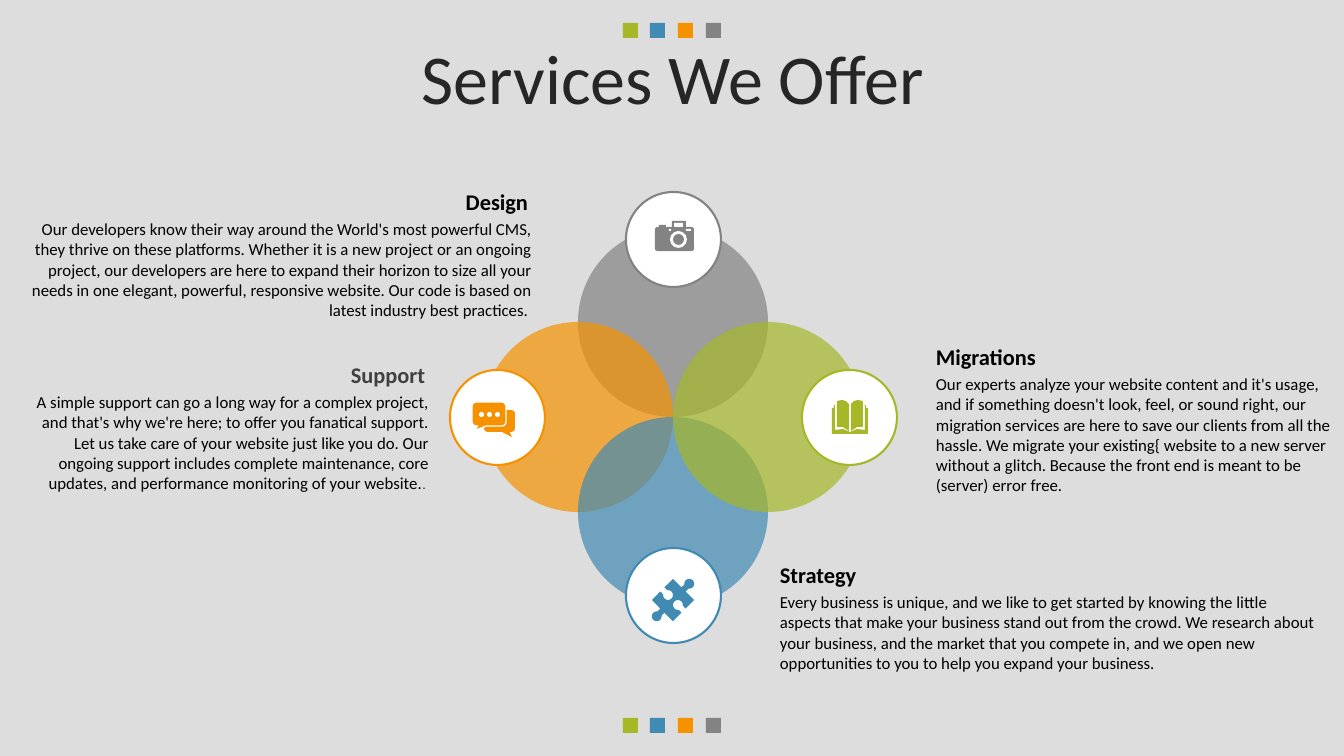
"""Build the "Services We Offer" slide with four overlapping petals."""
import collections
import math
import lxml.etree
import pptx
import pptx.dml.color
import pptx.enum.shapes
import pptx.enum.text
import pptx.oxml.ns
import pptx.util

PX = 12192000 / 1344
RGB = pptx.dml.color.RGBColor.from_string
KIND = pptx.enum.shapes.MSO_SHAPE
ALIGN = pptx.enum.text.PP_ALIGN


class Theme:
    font = "Calibri"
    back, white, black = "DDDDDD", "FFFFFF", "000000"
    title, soft = "262626", "404040"
    green, blue, orange, gray = "A6B727", "418AB3", "F69200", "838383"
    big, head, body, small = 50, 16, 12, 10


def draw(kind, box, fill):
    """Add a plain filled shape; the box is left, top, width, height in px."""
    shape = slide.shapes.add_shape(kind, *[round(n * PX) for n in box])
    shape.shadow.inherit = False
    shape.fill.solid()
    shape.fill.fore_color.rgb = RGB(fill)
    shape.line.fill.background()
    return shape


def style(run, size, color, bold=False):
    """Set the type of one run."""
    run.font.name = Theme.font
    run.font.size = pptx.util.Pt(size)
    run.font.bold = bold
    run.font.color.rgb = RGB(color)


deck = pptx.Presentation()
deck.slide_width = round(1344 * PX)
deck.slide_height = round(756 * PX)
slide = deck.slides.add_slide(deck.slide_layouts[5])
slide.background.fill.solid()
slide.background.fill.fore_color.rgb = RGB(Theme.back)

for top in (23, 718):
    for i, color in enumerate((Theme.green, Theme.blue, Theme.orange, Theme.gray)):
        draw(KIND.RECTANGLE, (623 + 83 * i // 3, top, 15, 15), color)

title = slide.shapes.title
title.left, title.top, title.width, title.height = [round(n * PX) for n in (35, 44, 1276, 80)]
frame = title.text_frame
frame.text = "Services We Offer"
frame.word_wrap = True
frame.auto_size = pptx.enum.text.MSO_AUTO_SIZE.NONE
frame.vertical_anchor = pptx.enum.text.MSO_ANCHOR.MIDDLE
line = frame.paragraphs[0]
line.alignment = ALIGN.CENTER
line.line_spacing = 0.8
style(line.runs[0], Theme.big, Theme.title)

hub_x, hub_y = 673, 417
petal, badge = 95, 47
reach_x, reach_y = 176, 178
sides = [("camera", 0, -1, Theme.gray), ("chat", -1, 0, Theme.orange),
         ("puzzle", 0, 1, Theme.blue), ("book", 1, 0, Theme.green)]
for name, dx, dy, color in sides:
    left, top = hub_x + (dx - 1) * petal, hub_y + (dy - 1) * petal
    shape = draw(KIND.OVAL, (left, top, 2 * petal, 2 * petal), color)
    tint = shape.fill._xPr.find(".//" + pptx.oxml.ns.qn("a:srgbClr"))
    lxml.etree.SubElement(tint, pptx.oxml.ns.qn("a:alpha"), val="70000")

spots = {}
for name, dx, dy, color in sides:
    x, y = spots[name] = hub_x + dx * reach_x, hub_y + dy * reach_y
    ring = draw(KIND.OVAL, (x - badge, y - badge, 2 * badge + 1, 2 * badge + 1), Theme.white)
    ring.line.color.rgb = RGB(color)
    ring.line.width = pptx.util.Pt(1.5)

Block = collections.namedtuple("Block", "head color align left top width height body tail")
blocks = [
    Block("Support", Theme.soft, ALIGN.RIGHT, 25, 356, 414, 92,
          "A simple support can go a long way for a complex project, and that's why we're "
          "here; to offer you fanatical support. Let us take care of your website just like "
          "you do. Our ongoing support includes complete maintenance, core updates, and "
          "performance monitoring of your website.", ". "),
    Block("Design", Theme.black, ALIGN.RIGHT, 17, 183, 525, 112,
          "Our developers know their way around the World's most powerful CMS, they thrive on "
          "these platforms. Whether it is a new project or an ongoing project, our developers "
          "are here to expand their horizon to size all your needs in one elegant, powerful, "
          "responsive website. Our code is based on latest industry best practices. ", ""),
    Block("Strategy", Theme.black, ALIGN.LEFT, 770, 556, 561, 92,
          "Every business is unique, and we like to get started by knowing the little aspects "
          "that make your business stand out from the crowd. We research about your business, "
          "and the market that you compete in, and we open new opportunities to you to help "
          "you expand your business.", ""),
    Block("Migrations", Theme.black, ALIGN.LEFT, 926, 338, 417, 132,
          "Our experts analyze your website content and it's usage, and if something doesn't "
          "look, feel, or sound right, our migration services are here to save our clients "
          "from all the hassle. We migrate your existing{ website to a new server without a "
          "glitch. Because the front end is meant to be (server) error free.", ""),
]
for block in blocks:
    parts = [(block.body, block.tail, Theme.body, Theme.black, False,
              block.top + 31, block.width, block.height),
             (block.head, "", Theme.head, block.color, True, block.top, block.width - 4, 37)]
    for text, tail, size, color, bold, top, width, height in parts:
        place = [round(n * PX) for n in (block.left, top, width, height)]
        box = slide.shapes.add_textbox(*place)
        box.text_frame.word_wrap = True
        line = box.text_frame.paragraphs[0]
        line.text = text
        line.alignment = block.align
        style(line.runs[0], size, color, bold)
        if tail:
            extra = line.add_run()
            extra.text = tail
            style(extra, Theme.small, Theme.soft)

x, y = spots["camera"]
camera = [
    ("body", KIND.ROUNDED_RECTANGLE, -18, -12, 39, 24, Theme.gray),
    ("button", KIND.RECTANGLE, -14, -14, 7, 3, Theme.gray),
    ("finder", KIND.RECTANGLE, -1, -18, 14, 7, Theme.gray),
    ("window", KIND.RECTANGLE, 1, -16, 9, 4, Theme.white),
    ("lamp", KIND.RECTANGLE, -4, -10, 2, 2, Theme.white),
    ("flash", KIND.RECTANGLE, 13, -10, 5, 2, Theme.white),
    ("rim", KIND.OVAL, -3, -8, 17, 17, Theme.white),
    ("lens", KIND.OVAL, 0, -5, 11, 11, Theme.gray),
]
for name, kind, dx, dy, width, height, color in camera:
    part = draw(kind, (x + dx, y + dy, width, height), color)
    if name == "body":
        part.adjustments[0] = 0.1

x, y = spots["chat"]
bubbles = [("back", -13, -7, 31, 22, 0.4, 0.73), ("front", -25, -15, 34, 24, -0.44, 0.7)]
for name, dx, dy, width, height, tip_x, tip_y in bubbles:
    bubble = draw(KIND.ROUNDED_RECTANGULAR_CALLOUT, (x + dx, y + dy, width, height), Theme.orange)
    for i, ratio in enumerate((tip_x, tip_y, 0.17)):
        bubble.adjustments[i] = ratio
    if name == "front":
        bubble.line.color.rgb = RGB(Theme.white)
        bubble.line.width = pptx.util.Pt(1)
for i in range(3):
    draw(KIND.OVAL, (x - 18 + 8 * i, y - 5, 5, 5), Theme.white)

x, y = spots["book"]
page = [(1, -13), (4, -16), (8, -17), (13, -16), (13, 10), (7, 10), (1, 14)]
cover = [(15, -12), (16, -12), (16, -9), (18, -9), (18, 17), (0, 17), (0, 15), (7, 12), (15, 13)]
book = [[(x + 1 + flip * dx, y + dy) for dx, dy in half]
        for flip in (-1, 1) for half in (page, cover)]

x, y = spots["puzzle"][0], spots["puzzle"][1] + 5
half, neck, knob, rise = 15, 3, 5, 8
bulge = [(knob * math.sin(math.radians(a)), rise - knob * math.cos(math.radians(a)))
         for a in range(-35, -326, -29)]
edge = [(-half, 0), (-neck, 0)] + bulge + [(neck, 0)]
puzzle = []
for turn in range(4):
    angle = math.radians(90 * turn - 45)
    cos, sin = math.cos(angle), math.sin(angle)
    sign = 1 if turn % 2 == 0 else -1
    for along, out in edge:
        far = half + sign * out
        puzzle.append((x + far * cos - along * sin, y + far * sin + along * cos))

FINE = 100
for color, outlines in ((Theme.green, book), (Theme.blue, [puzzle])):
    for outline in outlines:
        dots = [(round(px * FINE), round(py * FINE)) for px, py in outline]
        build = slide.shapes.build_freeform(*dots[0], scale=PX / FINE)
        build.add_line_segments(dots[1:], close=True)
        icon = build.convert_to_shape()
        icon.shadow.inherit = False
        icon.fill.solid()
        icon.fill.fore_color.rgb = RGB(color)
        icon.line.fill.background()

deck.save("out.pptx")
